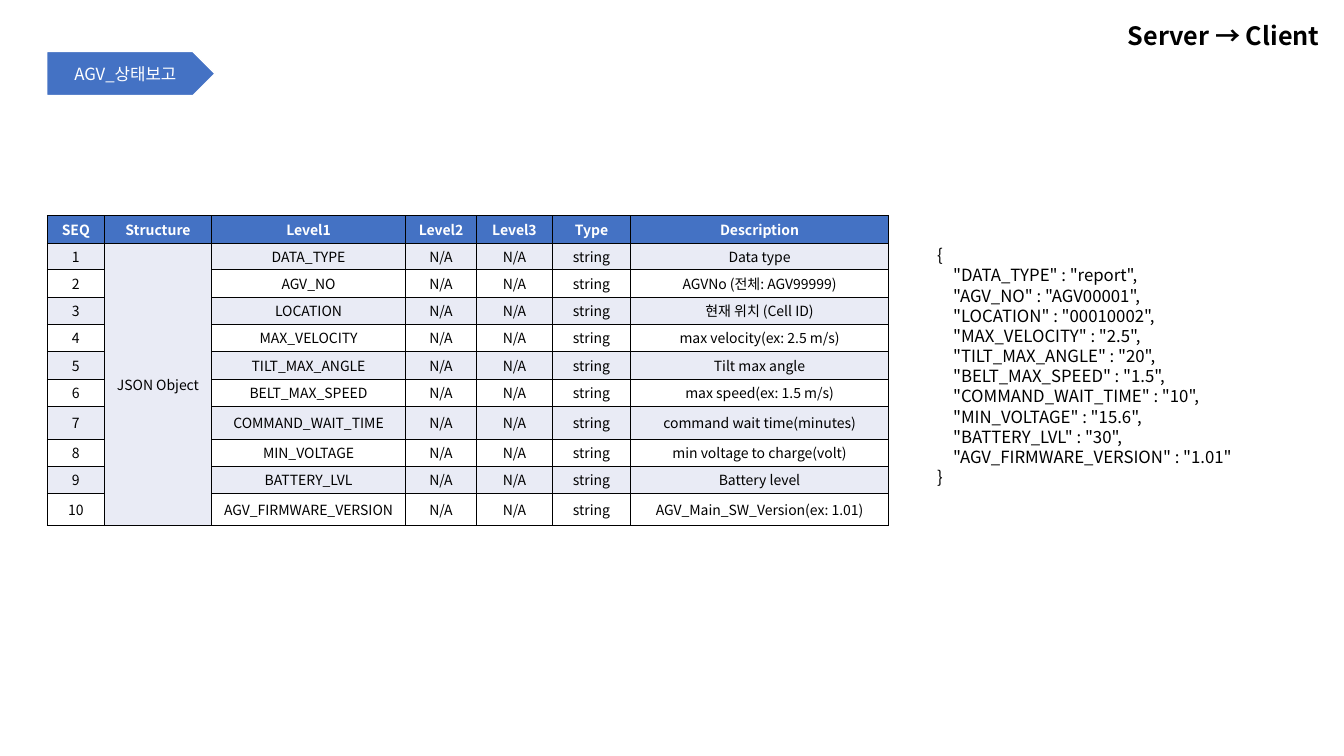
"""Build the AGV status report message slide."""
from lxml.etree import SubElement
from pptx import Presentation
from pptx.dml.color import RGBColor
from pptx.enum.shapes import MSO_SHAPE
from pptx.enum.text import MSO_ANCHOR, PP_ALIGN
from pptx.oxml.ns import qn
from pptx.util import Cm, Pt

FONT = "Noto Sans CJK KR"
BLUE, PALE, WHITE, BLACK = "4472C4", "E9EBF5", "FFFFFF", "000000"


def color(hex_string):
    return RGBColor.from_string(hex_string)


def write(paragraph, text, font_color=BLACK, **formats):
    run = paragraph.add_run()
    run.text = text
    run.font.color.rgb = color(font_color)
    for name, value in {"name": FONT, **formats}.items():
        setattr(run.font, name, value)
    SubElement(run.font._element, qn("a:ea"), typeface=FONT)


presentation = Presentation()
presentation.slide_width, presentation.slide_height = Cm(33.87), Cm(19.05)
slide = presentation.slides.add_slide(presentation.slide_layouts[6])

fields = [
    ("DATA_TYPE", "report", "Data type"),
    ("AGV_NO", "AGV00001", "AGVNo (전체: AGV99999)"),
    ("LOCATION", "00010002", "현재 위치 (Cell ID)"),
    ("MAX_VELOCITY", "2.5", "max velocity(ex: 2.5 m/s)"),
    ("TILT_MAX_ANGLE", "20", "Tilt max angle"),
    ("BELT_MAX_SPEED", "1.5", "max speed(ex: 1.5 m/s)"),
    ("COMMAND_WAIT_TIME", "10", "command wait time(minutes)"),
    ("MIN_VOLTAGE", "15.6", "min voltage to charge(volt)"),
    ("BATTERY_LVL", "30", "Battery level"),
    ("AGV_FIRMWARE_VERSION", "1.01", "AGV_Main_SW_Version(ex: 1.01)"),
]

members = ",\n".join(f'"{name}" : "{example}"' for name, example, _ in fields)
json_lines = ["{", *members.split("\n"), "}"]
text_boxes = [
    ((23.37, 6.05, 10.13, 6.4), json_lines, 12, False),
    ((28.17, 0.38, 5.46, 1.02), ["Server → Client"], 18, True),
]
for box, lines, size, bold in text_boxes:
    frame = slide.shapes.add_textbox(*map(Cm, box)).text_frame
    frame.word_wrap = True
    for index, line in enumerate(lines):
        paragraph = frame.add_paragraph() if index else frame.paragraphs[0]
        paragraph.line_spacing = Pt(size * 1.2)
        if line.startswith('"'):
            paragraph._p.get_or_add_pPr().set("marL", str(Cm(0.4)))
        write(paragraph, line, size=Pt(size), bold=bold)

column_widths = [1.44, 2.7, 4.89, 1.79, 1.91, 1.97, 6.5]
row_heights = [0.7, 0.66, 0.7, 0.68, 0.68, 0.7, 0.7, 0.82, 0.68, 0.68, 0.82]
rows = [["SEQ", "Structure", "Level1", "Level2", "Level3", "Type", "Description"]]
for number, (name, _, description) in enumerate(fields, 1):
    structure = "JSON Object" if number == 1 else ""
    rows.append([str(number), structure, name, "N/A", "N/A", "string", description])

table = slide.shapes.add_table(
    len(rows), len(column_widths), Cm(1.19), Cm(5.43),
    Cm(sum(column_widths)), Cm(sum(row_heights))).table
for column, width in zip(table.columns, column_widths):
    column.width = Cm(width)
for row, height in zip(table.rows, row_heights):
    row.height = Cm(height)

cell_format = {"vertical_anchor": MSO_ANCHOR.MIDDLE, "margin_left": 0,
               "margin_right": 0, "margin_top": 0, "margin_bottom": 0}
for row_index, texts in enumerate(rows):
    header = row_index == 0
    for column_index, text in enumerate(texts):
        cell = table.cell(row_index, column_index)
        for name, value in cell_format.items():
            setattr(cell, name, value)
        properties = cell._tc.get_or_add_tcPr()
        for side in ("lnL", "lnR", "lnT", "lnB"):
            border = SubElement(properties, qn(f"a:{side}"), w=str(Pt(0.5)))
            border_fill = SubElement(border, qn("a:solidFill"))
            SubElement(border_fill, qn("a:srgbClr"), val=BLACK)
        cell.fill.solid()
        cell.fill.fore_color.rgb = color(BLUE if header else PALE if row_index % 2 else WHITE)
        if text:
            paragraph = cell.text_frame.paragraphs[0]
            paragraph.alignment = PP_ALIGN.CENTER
            write(paragraph, text, WHITE if header else BLACK, size=Pt(10), bold=header)
table.cell(1, 1).merge(table.cell(len(fields), 1))

tag = slide.shapes.add_shape(MSO_SHAPE.PENTAGON, Cm(1.18), Cm(1.3), Cm(4.24), Cm(1.11))
tag.shadow.inherit = False
tag.fill.solid()
tag.fill.fore_color.rgb = color(BLUE)
tag.line.color.rgb = color(WHITE)
tag.line.width = Pt(1)
tag.text_frame.word_wrap = True
tag.text_frame.vertical_anchor = MSO_ANCHOR.MIDDLE
paragraph = tag.text_frame.paragraphs[0]
paragraph.alignment = PP_ALIGN.CENTER
write(paragraph, "AGV_상태보고", WHITE, size=Pt(12))

presentation.save("out.pptx")
